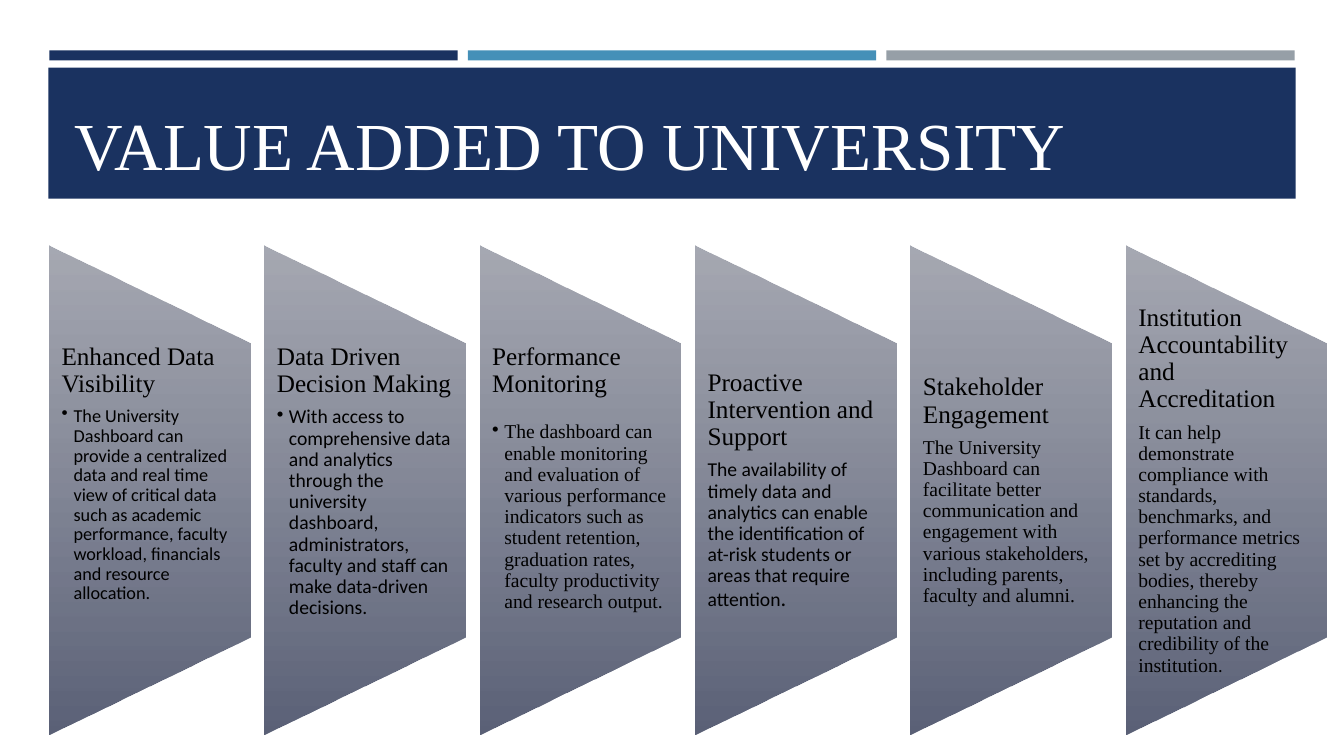
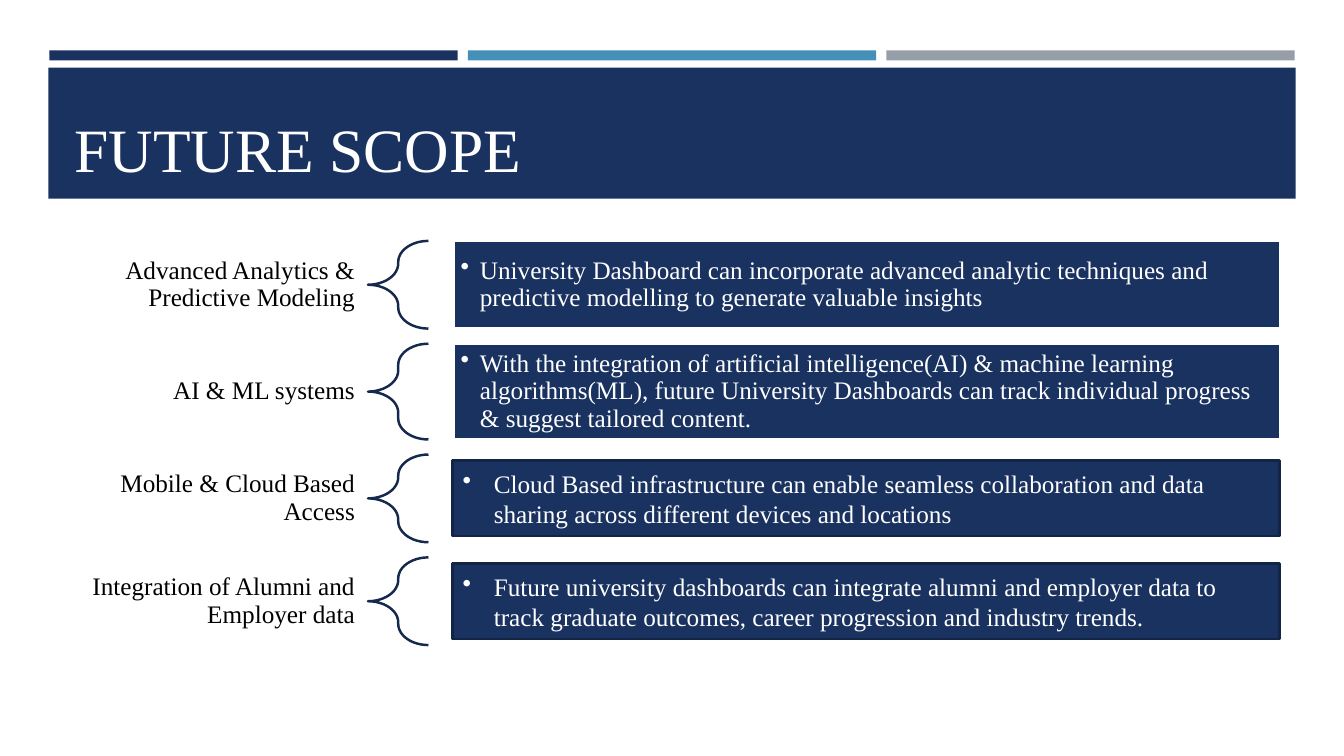
from lxml import etree
from pptx import Presentation
from pptx.dml.color import RGBColor
from pptx.enum.shapes import MSO_SHAPE
from pptx.enum.text import MSO_ANCHOR, MSO_AUTO_SIZE, PP_ALIGN
from pptx.oxml.ns import qn
from pptx.util import Inches, Pt

RECT = MSO_SHAPE.RECTANGLE
BRACE = MSO_SHAPE.LEFT_BRACE
TRAPEZOID = MSO_SHAPE.FLOWCHART_MANUAL_OPERATION
TOP, MIDDLE, BOTTOM = MSO_ANCHOR.TOP, MSO_ANCHOR.MIDDLE, MSO_ANCHOR.BOTTOM
LEFT, RIGHT = PP_ALIGN.LEFT, PP_ALIGN.RIGHT

NAVY = RGBColor(0x1A, 0x32, 0x60)
BLUE = RGBColor(0x45, 0x90, 0xB8)
GREY = RGBColor(0x96, 0x9F, 0xA7)
BRACE_NAVY = RGBColor(0x15, 0x28, 0x4D)
EDGE_NAVY = RGBColor(0x13, 0x25, 0x47)
PANEL_TOP = RGBColor(0x9C, 0x9F, 0xAA)
PANEL_BOTTOM = RGBColor(0x5B, 0x61, 0x77)
WHITE = RGBColor(0xFF, 0xFF, 0xFF)
BLACK = RGBColor(0, 0, 0)

SERIF, SANS = "Times New Roman", "Calibri"

# heading, body, body size, body font, bulleted, space after heading, (end mark, size)
VALUES = [
    ("Enhanced Data Visibility",
     "The University Dashboard can provide a centralized data and real time view of "
     "critical data such as academic performance, faculty workload, financials and "
     "resource allocation.", 13, SANS, True, 6.3, None),
    ("Data Driven Decision Making",
     "With access to comprehensive data and analytics through the university dashboard, "
     "administrators, faculty and staff can make data-driven decisions.",
     14, SANS, True, 6.3, None),
    ("Performance Monitoring",
     "The dashboard can enable monitoring and evaluation of various performance "
     "indicators such as student retention, graduation rates, faculty productivity and "
     "research output.", 14, SERIF, True, 17, None),
    ("Proactive Intervention and Support",
     "The availability of timely data and analytics can enable the identification of "
     "at-risk students or areas that require attention",
     14, SANS, False, 6.3, (".", 16)),
    ("Stakeholder Engagement",
     "The University Dashboard can facilitate better communication and engagement with "
     "various stakeholders, including parents, faculty and alumni.",
     14, SERIF, False, 6.3, None),
    ("Institution Accountability and Accreditation",
     "It can help demonstrate compliance with standards, benchmarks, and performance "
     "metrics set by accrediting bodies, thereby enhancing the reputation and "
     "credibility of the institution", 14, SERIF, False, 6.3, (".", 13)),
]

# card styles: left, height trim, edge, insets, indent, line spacing
TIGHT = dict(left=4.5, trim=0, edge=WHITE, insets=(0.07, 0.07), indent=0.19, spacing=0.9)
LOOSE = dict(left=4.49, trim=0.12, edge=EDGE_NAVY, insets=(0.1, 0.05), indent=0.31,
             spacing=1.0)

# row height, label, card text, card style
SCOPE = [
    (0.87, "Advanced Analytics & Predictive Modeling",
     "University Dashboard can incorporate advanced analytic techniques and predictive "
     "modelling to generate valuable insights", TIGHT),
    (0.95, "AI & ML systems",
     "With the integration of artificial intelligence(AI) & machine learning "
     "algorithms(ML), future University Dashboards can track individual progress & "
     "suggest tailored content.", TIGHT),
    (0.87, "Mobile & Cloud Based Access",
     "Cloud Based infrastructure can enable seamless collaboration and data sharing "
     "across different devices and locations", LOOSE),
    (0.87, "Integration of Alumni and Employer data",
     "Future university dashboards can integrate alumni and employer data to track "
     "graduate outcomes, career progression and industry trends.", LOOSE),
]


def write(tf, text, size=18, font=SERIF, color=BLACK, align=LEFT, spacing=None, after=0,
          indent=0, end_mark=None):
    """Add one paragraph; indent gives it a bullet, end_mark is (text, size)."""
    p = tf.add_paragraph() if tf.text else tf.paragraphs[0]
    p.alignment, p.line_spacing, p.space_after = align, spacing, Pt(after)
    runs = [(text, size, font)]
    if end_mark:
        runs.append((*end_mark, SANS))
    for run_text, run_size, run_font in runs:
        r = p.add_run()
        r.text = run_text
        r.font.size, r.font.name, r.font.color.rgb = Pt(run_size), run_font, color
    if indent:
        pPr = p._p.get_or_add_pPr()
        pPr.set("marL", str(Inches(indent)))
        pPr.set("indent", str(-Inches(indent)))
        etree.SubElement(pPr, qn("a:buChar")).set("char", "•")


def frame(shape, anchor, insets=(0.1, 0.05)):
    """Prepare a shape's text frame; insets are (sides, top and bottom)."""
    tf = shape.text_frame
    tf.word_wrap, tf.auto_size, tf.vertical_anchor = True, MSO_AUTO_SIZE.NONE, anchor
    tf.margin_left = tf.margin_right = Inches(insets[0])
    tf.margin_top = tf.margin_bottom = Inches(insets[1])
    return tf


class Deck:
    def __init__(self):
        self.prs = Presentation()
        self.prs.slide_width, self.prs.slide_height = Inches(13.33), Inches(7.5)
        self.layout = self.prs.slide_layouts[5]
        self.s = None

    def new_slide(self, title, size):
        first = self.s is None
        self.s = self.prs.slides.add_slide(self.layout)
        if first:
            self.decorate_layout()
        tf = frame(self.s.shapes.title, BOTTOM)
        write(tf, title, size=size, color=WHITE)

    def decorate_layout(self):
        """Move the bands into the layout, behind its title."""
        bands = [self.shape(RECT, 0.49 + 4.15 * i, 0.5, 4.05, 0.1, fill=color)
                 for i, color in enumerate((NAVY, BLUE, GREY))]
        bands.append(self.shape(RECT, 0.48, 0.67, 12.37, 1.3, fill=NAVY))
        for band in bands:
            self.layout.shapes._spTree.insert(2, band._element)
        title = self.layout.placeholders[0]
        title.left, title.top = Inches(0.64), Inches(0.77)
        title.width, title.height = Inches(12.06), Inches(1.11)

    def shape(self, kind, x, y, w, h, fill=None, line=None):
        shape = self.s.shapes.add_shape(kind, Inches(x), Inches(y), Inches(w), Inches(h))
        shape.shadow.inherit = False
        if fill is None:
            shape.fill.background()
        else:
            shape.fill.solid()
            shape.fill.fore_color.rgb = fill
        if line is None:
            shape.line.fill.background()
        else:
            shape.line.color.rgb = line
            shape.line.width = Pt(1.75)
        return shape

    def textbox(self, x, y, w, h, anchor, insets):
        box = self.s.shapes.add_textbox(Inches(x), Inches(y), Inches(w), Inches(h))
        return frame(box, anchor, insets)

    def panel(self, x, y, w, h):
        """Draw an upright panel, a trapezoid turned on its side."""
        panel = self.shape(TRAPEZOID, x + (w - h) / 2, y + (h - w) / 2, h, w)
        panel.rotation = 270
        panel.fill.gradient()
        panel.fill.gradient_angle = 270
        for stop, color in zip(panel.fill.gradient_stops, (PANEL_TOP, PANEL_BOTTOM)):
            stop.color.rgb = color
        grad = panel._element.spPr.find(qn("a:gradFill"))
        grad.set("rotWithShape", "0")
        top_color = next(grad.iter(qn("a:srgbClr")))
        etree.SubElement(top_color, qn("a:alpha")).set("val", "90000")

    def value(self, x, heading, body, size, font, bulleted, after, end_mark):
        self.panel(x, 2.44, 1.99, 4.85)
        tf = self.textbox(x, 3.41, 1.99, 2.91, TOP if bulleted else MIDDLE, (0.12, 0))
        write(tf, heading, spacing=0.9, after=after)
        write(tf, body, size=size, font=font, spacing=0.9, after=2 if bulleted else 5,
              indent=0.12 if bulleted else 0, end_mark=end_mark)

    def scope_row(self, y, h, label, text, style):
        tf = self.textbox(0.64, y, 3.02, h, MIDDLE, (0.14, 0.05))
        write(tf, label, align=RIGHT, spacing=0.9)
        brace = self.shape(BRACE, 3.65, y, 0.6, h, line=BRACE_NAVY)
        brace.adjustments[0], brace.adjustments[1] = 0.35, 0.5
        trim = style["trim"]
        card = self.shape(RECT, style["left"], y + trim / 2, 8.2, h - trim,
                          fill=NAVY, line=style["edge"])
        write(frame(card, MIDDLE, style["insets"]), text, color=WHITE,
              spacing=style["spacing"], indent=style["indent"])


def main():
    deck = Deck()

    deck.new_slide("VALUE ADDED TO UNIVERSITY", 48)
    first, last = 0.49, 11.17
    step = (last - first) / (len(VALUES) - 1)
    for i, value in enumerate(VALUES):
        deck.value(first + i * step, *value)

    deck.new_slide("FUTURE SCOPE", 44)
    y, gap = 2.39, 0.15
    for height, *row in SCOPE:
        deck.scope_row(y, height, *row)
        y += height + gap

    deck.prs.save("out.pptx")


if __name__ == "__main__":
    main()
